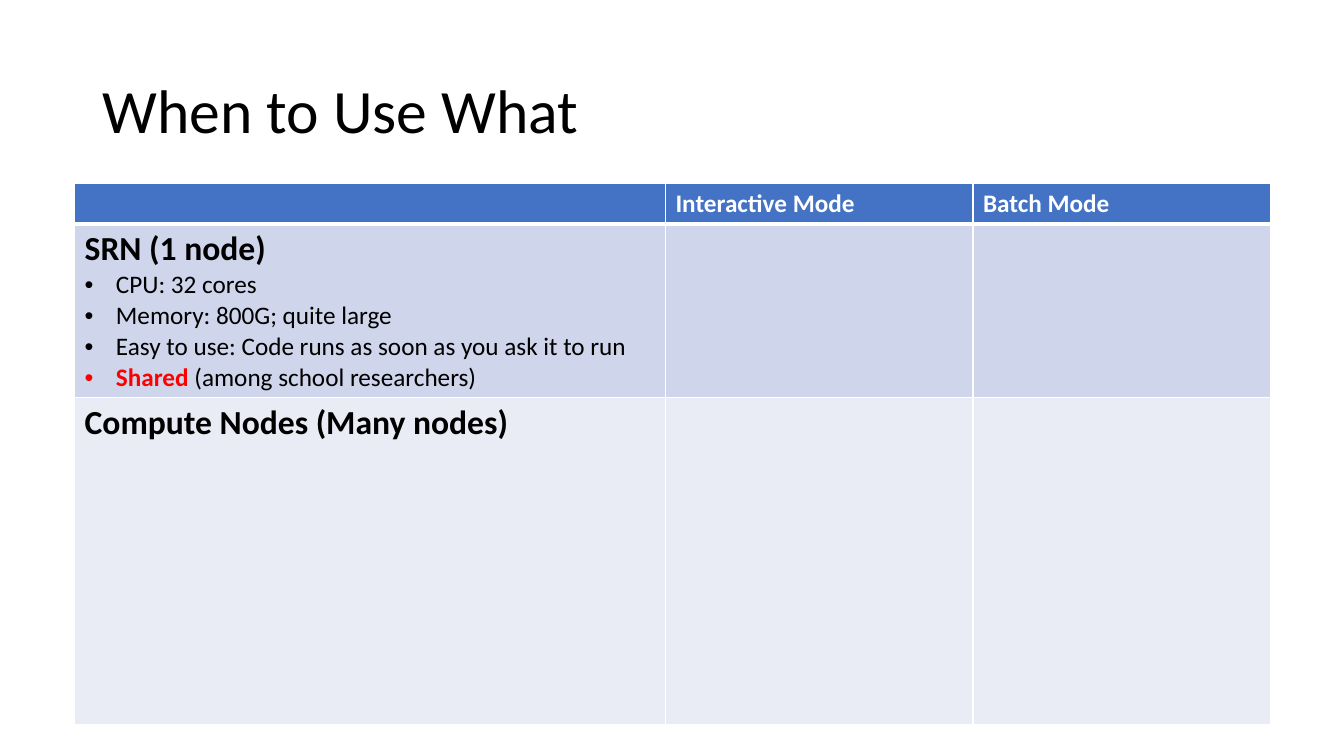
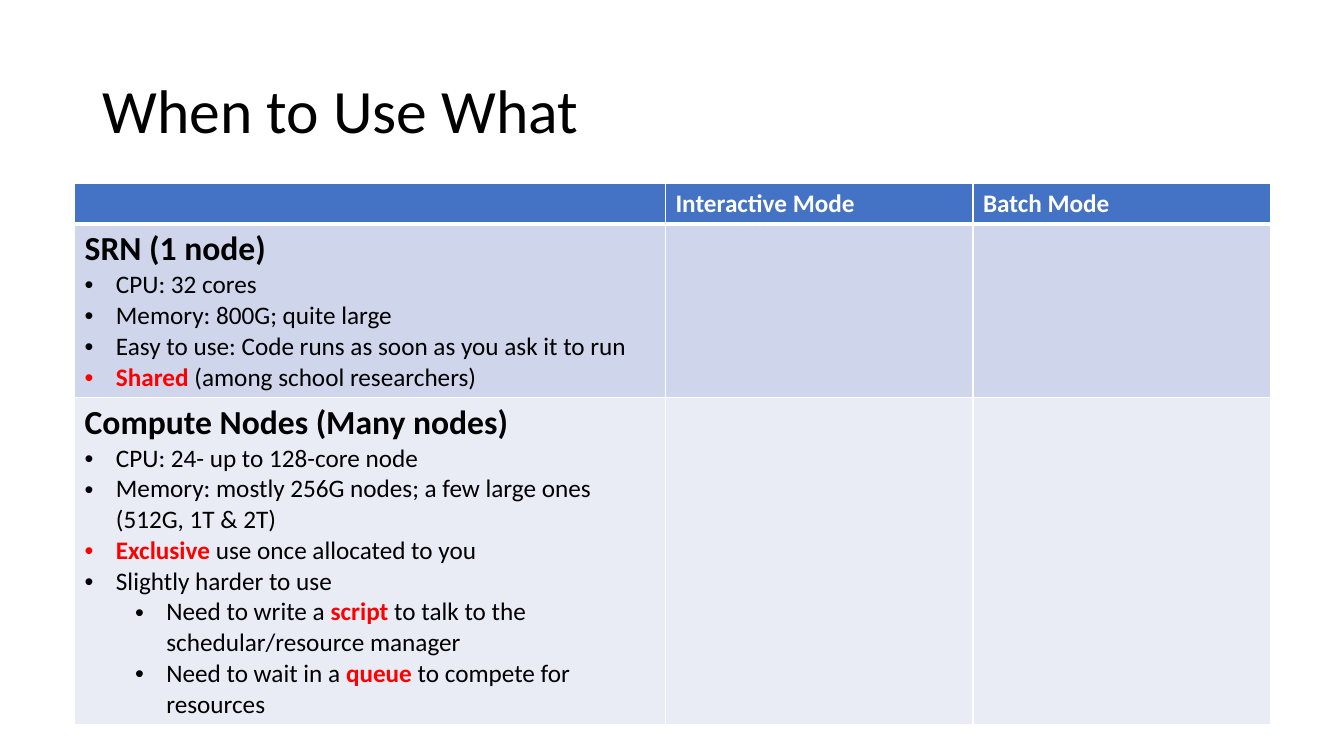
import pptx
import pptx.util
import pptx.dml.color
import pptx.enum.text
import pptx.oxml.ns
import lxml.etree

Inches, Pt = pptx.util.Inches, pptx.util.Pt
FONT = "Calibri"
BLACK, WHITE, RED = "000000", "FFFFFF", "FF0000"
HEADER_FILL, ROW_FILLS = "4472C4", ("CFD5EA", "E9EBF5")
TITLE = "When to Use What"
TITLE_BOX = (0.92, 0.4, 11.5, 1.45)
TABLE_BOX = (0.74, 1.82, 11.86, 5.37)
COL_WIDTHS = (5.86, 3.05, 2.95)
ROW_HEIGHTS = (0.4, 1.72, 3.25)
HEADERS = ("", "Interactive Mode", "Batch Mode")
BULLET_HANG = 0.31

SHARED_NODE = ("SRN (1 node)", [
    (0, "CPU: 32 cores"),
    (0, "Memory: 800G; quite large"),
    (0, "Easy to use: Code runs as soon as you ask it to run"),
    (0, "*Shared *(among school researchers)"),
])
COMPUTE_HEADING = "Compute Nodes (Many nodes)"
COMPUTE_BULLETS = [
    (0, "CPU: 24- up to 128-core node"),
    (0, "Memory: mostly 256G nodes; a few large ones (512G, 1T & 2T)"),
    (0, "*Exclusive* use once allocated to you"),
    (0, "Slightly harder to use"),
    (1, "Need to write a *script* to talk to the schedular/resource manager"),
    (1, "Need to wait in a *queue* to compete for resources"),
]


def rgb(color):
    """Turn a hex string into a colour."""
    return pptx.dml.color.RGBColor.from_string(color)


def add_run(p, text, size, color=BLACK, bold=False):
    """Append a formatted run to a paragraph."""
    r = p.add_run()
    r.text = text
    r.font.name, r.font.size, r.font.bold = FONT, Pt(size), bold
    r.font.color.rgb = rgb(color)


def add_element(parent, tag, **attributes):
    """Append a DrawingML element."""
    return lxml.etree.SubElement(parent, pptx.oxml.ns.qn(tag), **attributes)


def add_bullet(tf, level, text):
    """Add a bulleted paragraph; text between asterisks is bold red."""
    p = tf.add_paragraph()
    p.level = level
    pPr = p._p.get_or_add_pPr()
    pPr.set("marL", str(Inches(BULLET_HANG + 0.5 * level)))
    pPr.set("indent", str(Inches(-BULLET_HANG)))
    add_element(pPr, "a:buFont", typeface="Arial")
    add_element(pPr, "a:buChar", char="•")
    for i, part in enumerate(text.split("*")):
        if part:
            emphasis = i % 2 == 1
            add_run(p, part, 18, RED if emphasis else BLACK, emphasis)


def style_cell(cell, fill, top, bottom):
    """Give a cell white borders and a solid fill."""
    tcPr = cell._tc.get_or_add_tcPr()
    for side, width in (("L", 1), ("R", 1), ("T", top), ("B", bottom)):
        ln = add_element(tcPr, f"a:ln{side}", w=str(Pt(width)))
        add_element(add_element(ln, "a:solidFill"), "a:srgbClr", val=WHITE)
    cell.fill.solid()
    cell.fill.fore_color.rgb = rgb(fill)


def add_title(s, box):
    """Place the slide title in the box."""
    tf = s.shapes.add_textbox(*map(Inches, box)).text_frame
    tf.word_wrap = True
    tf.vertical_anchor = pptx.enum.text.MSO_ANCHOR.MIDDLE
    p = tf.paragraphs[0]
    p.line_spacing = 0.9
    add_run(p, TITLE, 44)


def add_comparison(s, box, rows):
    """Place the table of node types against modes in the box."""
    table = s.shapes.add_table(len(ROW_HEIGHTS), len(COL_WIDTHS), *map(Inches, box)).table
    table.horz_banding = False
    for column, width in zip(table.columns, COL_WIDTHS):
        column.width = Inches(width)
    for row, height in zip(table.rows, ROW_HEIGHTS):
        row.height = Inches(height)
    fills = (HEADER_FILL, *ROW_FILLS)
    for i, row in enumerate(table.rows):
        for cell in row.cells:
            style_cell(cell, fills[i], 3 if i == 1 else 1, 3 if i == 0 else 1)
    for cell, text in zip(table.rows[0].cells, HEADERS):
        if text:
            add_run(cell.text_frame.paragraphs[0], text, 18, WHITE, True)
    for i, (heading, bullets) in enumerate(rows, 1):
        tf = table.cell(i, 0).text_frame
        add_run(tf.paragraphs[0], heading, 24, bold=True)
        for level, text in bullets:
            add_bullet(tf, level, text)


def add_comparison_slide(prs, rows):
    """Add one slide with the title and the comparison table."""
    s = prs.slides.add_slide(prs.slide_layouts[6])
    add_title(s, TITLE_BOX)
    add_comparison(s, TABLE_BOX, rows)


prs = pptx.Presentation()
prs.slide_width, prs.slide_height = Inches(13.33), Inches(7.5)
for bullets in ([], COMPUTE_BULLETS):
    add_comparison_slide(prs, [SHARED_NODE, (COMPUTE_HEADING, bullets)])
prs.save("out.pptx")
